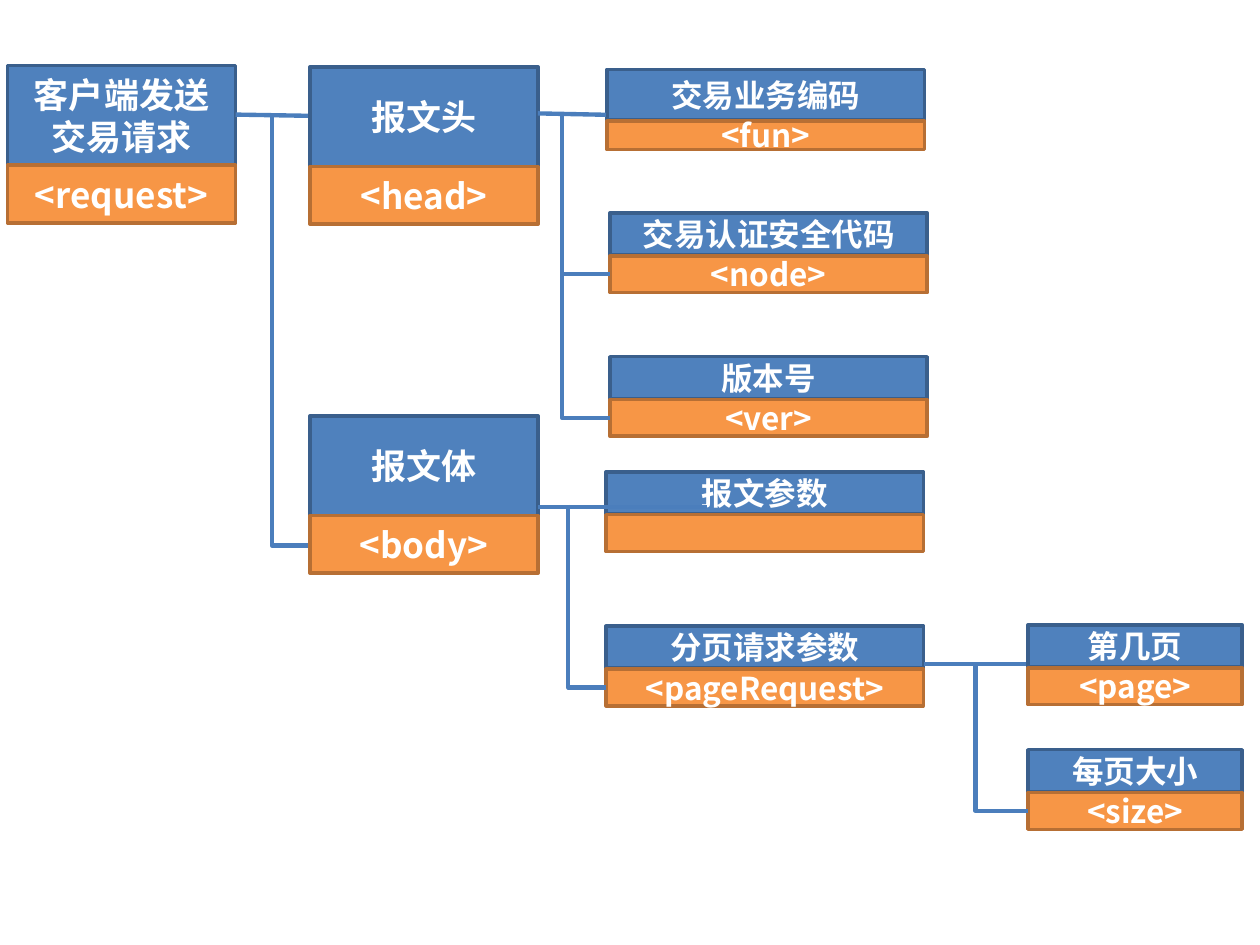
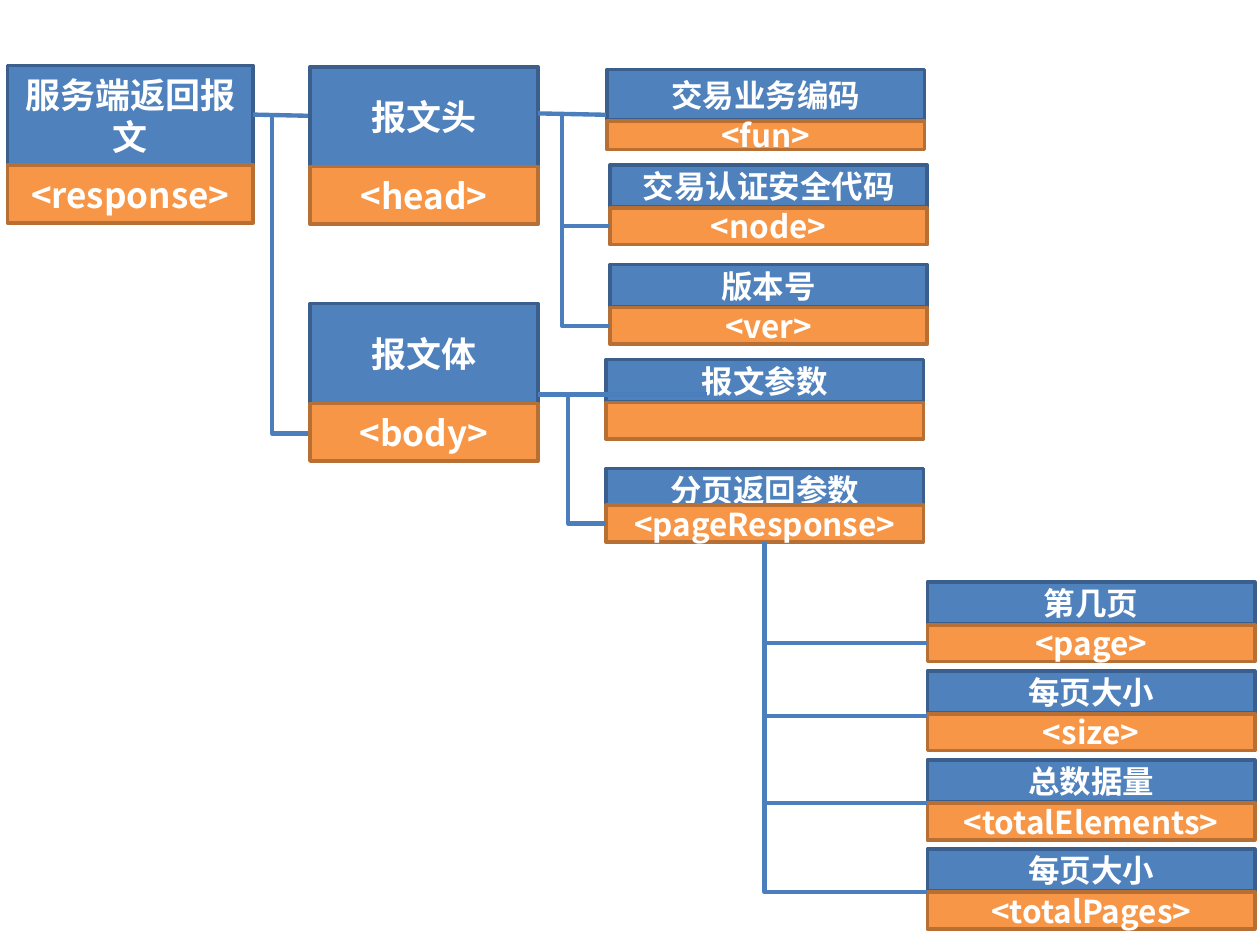
from pptx import Presentation
from pptx.util import Pt
from pptx.dml.color import RGBColor as Rgb
from pptx.enum.shapes import MSO_SHAPE as Shape, MSO_CONNECTOR as Link
from pptx.enum.text import PP_ALIGN as Align, MSO_ANCHOR as Anchor
from lxml import etree
from pptx.oxml.ns import qn

HUE = {"name": "4F81BD", "name_edge": "3A5F8C", "tag": "F79646",
       "tag_edge": "B76F34", "link": "4B7EBC", "text": "FFFFFF"}
FONT = "Noto Sans CJK SC"

# Node styles: name height, tag offset, tag height, text size
BIG = (57, 57, 33, 20)
TOP = (29, 29.5, 16.5, 18)
LEAF = (24, 24.5, 21, 18)
TIGHT = (24, 20.9, 21, 18)
MID = 35          # height at which a link meets a leaf
WIDE = 130.3      # width of a big node
SPAN = 181.4      # width of a leaf


def color(key):
    return Rgb.from_string(HUE[key])


def bar(slide, x, y, w, h, text, kind, size):
    box = slide.shapes.add_shape(Shape.RECTANGLE, Pt(x), Pt(y), Pt(w), Pt(h))
    box.shadow.inherit = False
    box.fill.solid()
    box.fill.fore_color.rgb = color(kind)
    box.line.color.rgb = color(kind + "_edge")
    box.line.width = Pt(2)
    if not text:
        return
    frame = box.text_frame
    frame.word_wrap = True
    frame.vertical_anchor = Anchor.MIDDLE
    para = frame.paragraphs[0]
    para.text = text
    para.alignment = Align.CENTER
    font = para.font
    font.size, font.bold, font.name = Pt(size), True, FONT
    font.color.rgb = color("text")
    # East Asian text takes its own typeface
    for run in para.runs:
        props = run._r.get_or_add_rPr()
        etree.SubElement(props, qn("a:ea")).set("typeface", FONT)


def node(slide, x, y, w, name, tag, style=LEAF):
    tall, drop, low, size = style
    bar(slide, x, y, w, tall, name, "name", size)
    bar(slide, x, y + drop, w, low, tag, "tag", size)


def link(slide, x1, y1, x2, y2, kind=Link.STRAIGHT):
    line = slide.shapes.add_connector(kind, Pt(x1), Pt(y1), Pt(x2), Pt(y2))
    line.line.color.rgb = color("link")
    line.line.width = Pt(2.5)
    etree.SubElement(line._element.spPr, qn("a:effectLst"))
    return line


def elbow(slide, x1, y1, x2, y2):
    """Goes down first, then right."""
    wide, tall = x2 - x1, y2 - y1
    left, top = (x1 + x2 - tall) / 2, (y1 + y2 - wide) / 2
    line = link(slide, left, top, left + tall, top + wide, Link.ELBOW)
    props = line._element.spPr
    props.find(qn("a:prstGeom")).set("prst", "bentConnector2")
    frame = props.find(qn("a:xfrm"))
    frame.set("rot", "16200000")
    frame.set("flipH", "1")


def root(slide, x, y, w, name, tag, body):
    """First node, linked to the head and to the body at height body."""
    node(slide, x, y, w, name, tag, BIG)
    link(slide, x + w, y + 28.1, 177.1, y + 28.8)
    elbow(slide, 155.5, y + 28.1, 177.1, body + 74.2)


def head(slide, x, y, leaves):
    """Message head; leaves holds the heights of the lower two leaves."""
    node(slide, x, y, WIDE, "报文头", "<head>", BIG)
    node(slide, x + 169.9, y + 1.4, SPAN, "交易业务编码", "<fun>", TOP)
    link(slide, x + WIDE, y + 26.6, x + 169.2, y + 27.4)
    names = ("交易认证安全代码", "<node>"), ("版本号", "<ver>")
    for at, (name, tag) in zip(leaves, names):
        node(slide, x + 171.4, at, SPAN, name, tag)
        elbow(slide, x + 144, y + 27, x + 171.4, at + MID)


def body(slide, x, y, at, name, tag, style):
    """Message body; at is the height of its paging node."""
    side = x + 169.2
    node(slide, x, y, WIDE, "报文体", "<body>", BIG)
    node(slide, side, y + 32, SPAN, "报文参数", "")
    link(slide, x + WIDE, y + 52, x + 226.9, y + 52)
    node(slide, side, at, SPAN, name, tag, style)
    elbow(slide, x + 147.6, y + 51, side, at + style[1] + 10.5)


def pages(slide, x, y, w, step, items, stem, start, joins):
    """Column of paging fields, joined to a stem at the given offsets."""
    for i, ((name, tag), join) in enumerate(zip(items, joins)):
        at = y + i * step
        node(slide, x, at, w, name, tag)
        if join:
            elbow(slide, stem, start, x, at + join)


def request(slide):
    root(slide, 4.3, 37.4, WIDE, "客户端发送交易请求", "<request>", 237.6)
    head(slide, 177.1, 38.2, (121.7, 203.8))
    body(slide, 177.1, 237.6, 357.8, "分页请求参数", "<pageRequest>", LEAF)
    # The first field has a straight link of its own
    link(slide, 527.8, 379.4, 587.5, 379.4)
    pages(slide, 587.5, 357.1, 122.4, 71.3, FIELDS[:2], 557.3, 379, (0, MID))


def response(slide):
    root(slide, 4.3, 37.4, 140.4, "服务端返回报文", "<response>", 173.5)
    head(slide, 177.1, 38.2, (94.3, 151.2))
    body(slide, 177.1, 173.5, 267.8, "分页返回参数", "<pageResponse>", TIGHT)
    pages(slide, 529.9, 332.6, 187.2, 50.9, FIELDS, 436.9, 309.6,
          (MID, 25.5, 24.5, 24.5))


FIELDS = (("第几页", "<page>"), ("每页大小", "<size>"),
          ("总数据量", "<totalElements>"), ("每页大小", "<totalPages>"))

deck = Presentation()
deck.slide_width, deck.slide_height = Pt(720), Pt(540)
for draw in (request, response):
    draw(deck.slides.add_slide(deck.slide_layouts[6]))
deck.save("out.pptx")
